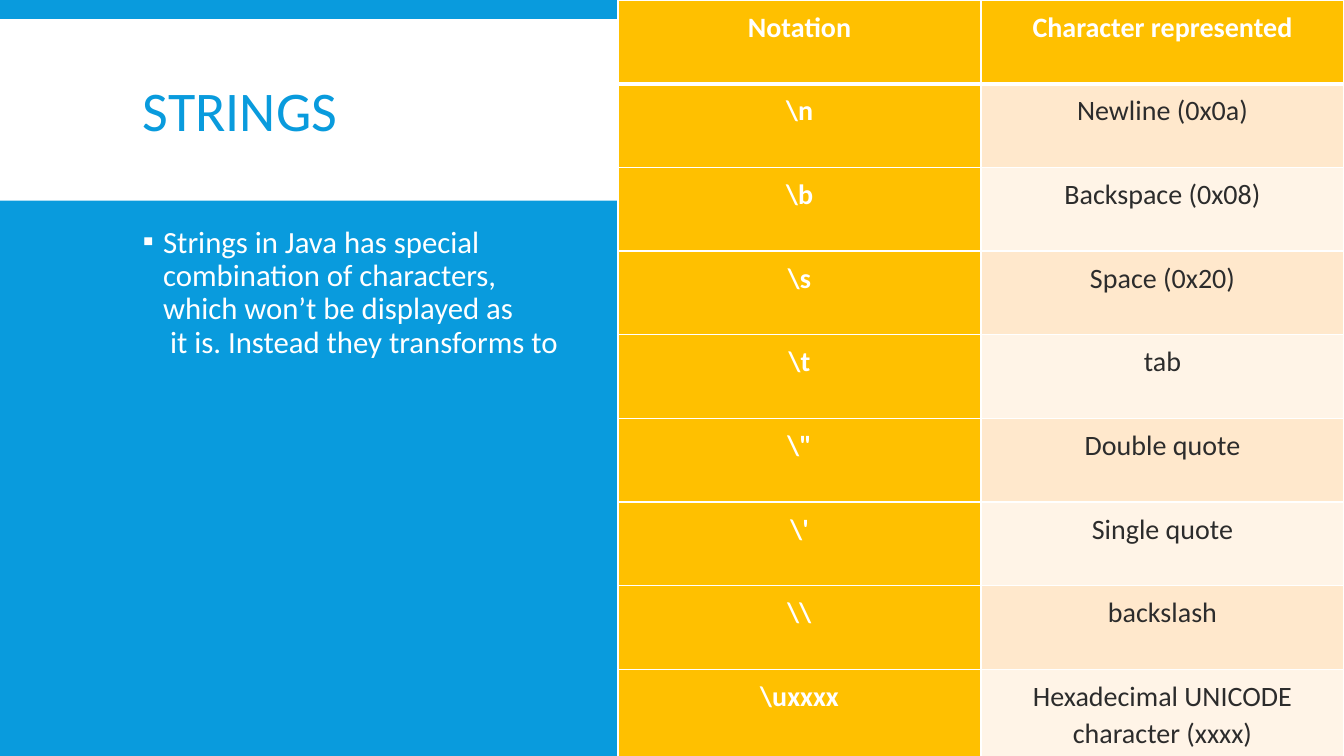
from lxml import etree
from pptx import Presentation, util as u
from pptx.dml.color import RGBColor
from pptx.enum import shapes, text
from pptx.oxml.ns import qn

# Content
TITLE = "STRINGS"
EXPLANATION = ("Strings in Java has special \ncombination of characters, \n"
               "which won’t be displayed as\n it is. Instead they transforms to")
HEADINGS = ("Notation", "Character represented")
ESCAPES = [
    (r"\n", "Newline (0x0a)"),
    (r"\b", "Backspace (0x08)"),
    (r"\s", "Space (0x20)"),
    (r"\t", "tab"),
    (r"\"", "Double quote"),
    (r"\'", "Single quote"),
    (r"\\", "backslash"),
    (r"\uxxxx", "Hexadecimal UNICODE character (xxxx)"),
]

BLUE = RGBColor(0x09, 0x9B, 0xDD)
WHITE = RGBColor(0xFF, 0xFF, 0xFF)
AMBER = RGBColor(0xFF, 0xC0, 0x00)
PEACH = RGBColor(0xFF, 0xE8, 0xCC)
CREAM = RGBColor(0xFF, 0xF4, 0xE7)
DARK = RGBColor(0x2C, 0x2C, 0x2C)

# Layout in inches
WIDTH, HEIGHT = 13.33, 7.5
TEXT_LEFT, TEXT_WIDTH = 1.32, 10.7
TABLE_LEFT, COLUMN = 6.13, 3.6
ROW, LAST_ROW = 0.83, 0.89
CELL_INSET = u.Inches(0.08)


def write(frame, words, size, color, bold=False, align=text.PP_ALIGN.LEFT,
          anchor=text.MSO_ANCHOR.TOP, spacing=1.0, before=0, after=0):
    frame.word_wrap = True
    frame.vertical_anchor = anchor
    paragraph = frame.paragraphs[0]
    paragraph.text = words
    paragraph.alignment = align
    paragraph.line_spacing = spacing
    paragraph.space_before = u.Pt(before)
    paragraph.space_after = u.Pt(after)
    for run in paragraph.runs:
        run.font.name = "Calibri"
        run.font.size = u.Pt(size)
        run.font.bold = bold
        run.font.color.rgb = color
    return paragraph


def add_bullet(paragraph, mark, color, indent):
    props = paragraph._p.get_or_add_pPr()
    props.set("marL", str(u.Inches(indent)))
    props.set("indent", str(-u.Inches(indent)))
    bullet_color = etree.SubElement(props, qn("a:buClr"))
    etree.SubElement(bullet_color, qn("a:srgbClr"), val=str(color))
    etree.SubElement(props, qn("a:buFont"), typeface="Calibri")
    etree.SubElement(props, qn("a:buChar"), char=mark)


def set_borders(cell, color, widths):
    props = cell._tc.get_or_add_tcPr()
    for place, (side, points) in enumerate(widths.items()):
        line = etree.Element(qn(f"a:{side}"), w=str(u.Pt(points)))
        fill = etree.SubElement(line, qn("a:solidFill"))
        etree.SubElement(fill, qn("a:srgbClr"), val=str(color))
        props.insert(place, line)


def text_area(slide, top, height):
    return slide.shapes.add_textbox(
        u.Inches(TEXT_LEFT), u.Inches(top), u.Inches(TEXT_WIDTH), u.Inches(height)).text_frame


def add_escape_table(slide):
    rows = [HEADINGS] + ESCAPES
    heights = [ROW] * len(ESCAPES) + [LAST_ROW]
    table = slide.shapes.add_table(
        len(rows), len(HEADINGS), u.Inches(TABLE_LEFT), 0,
        u.Inches(COLUMN * len(HEADINGS)), u.Inches(sum(heights))).table
    for column in table.columns:
        column.width = u.Inches(COLUMN)
    for r, (row, height) in enumerate(zip(rows, heights)):
        table.rows[r].height = u.Inches(height)
        for c, words in enumerate(row):
            cell = table.cell(r, c)
            accent = r == 0 or c == 0
            cell.margin_left = cell.margin_right = CELL_INSET
            cell.margin_top = cell.margin_bottom = CELL_INSET
            cell.fill.solid()
            cell.fill.fore_color.rgb = AMBER if accent else PEACH if r % 2 else CREAM
            write(cell.text_frame, words, 20, WHITE if accent else DARK, bold=accent,
                  align=text.PP_ALIGN.CENTER, spacing=1.07, after=15)
            set_borders(cell, WHITE, {"lnL": 1, "lnR": 1, "lnT": 3 if r == 1 else 1,
                                      "lnB": 3 if r == 0 else 1})


def main():
    deck = Presentation()
    deck.slide_width, deck.slide_height = u.Inches(WIDTH), u.Inches(HEIGHT)
    slide = deck.slides.add_slide(deck.slide_layouts[6])
    slide.background.fill.solid()
    slide.background.fill.fore_color.rgb = BLUE

    # Title band
    band = slide.shapes.add_shape(shapes.MSO_SHAPE.RECTANGLE, 0, u.Inches(0.19),
                                  deck.slide_width, u.Inches(1.8))
    band.shadow.inherit = False
    band.fill.solid()
    band.fill.fore_color.rgb = WHITE
    band.line.fill.background()
    write(text_area(slide, 0.31, 1.65), TITLE, 40, BLUE,
          anchor=text.MSO_ANCHOR.MIDDLE, spacing=0.85)

    # Explanation
    explanation = write(text_area(slide, 2.2, 4.6), EXPLANATION, 22, WHITE,
                        spacing=0.9, before=12, after=2)
    add_bullet(explanation, "▪", WHITE, 0.2)

    # Escape sequences
    add_escape_table(slide)
    deck.save("out.pptx")


if __name__ == "__main__":
    main()
